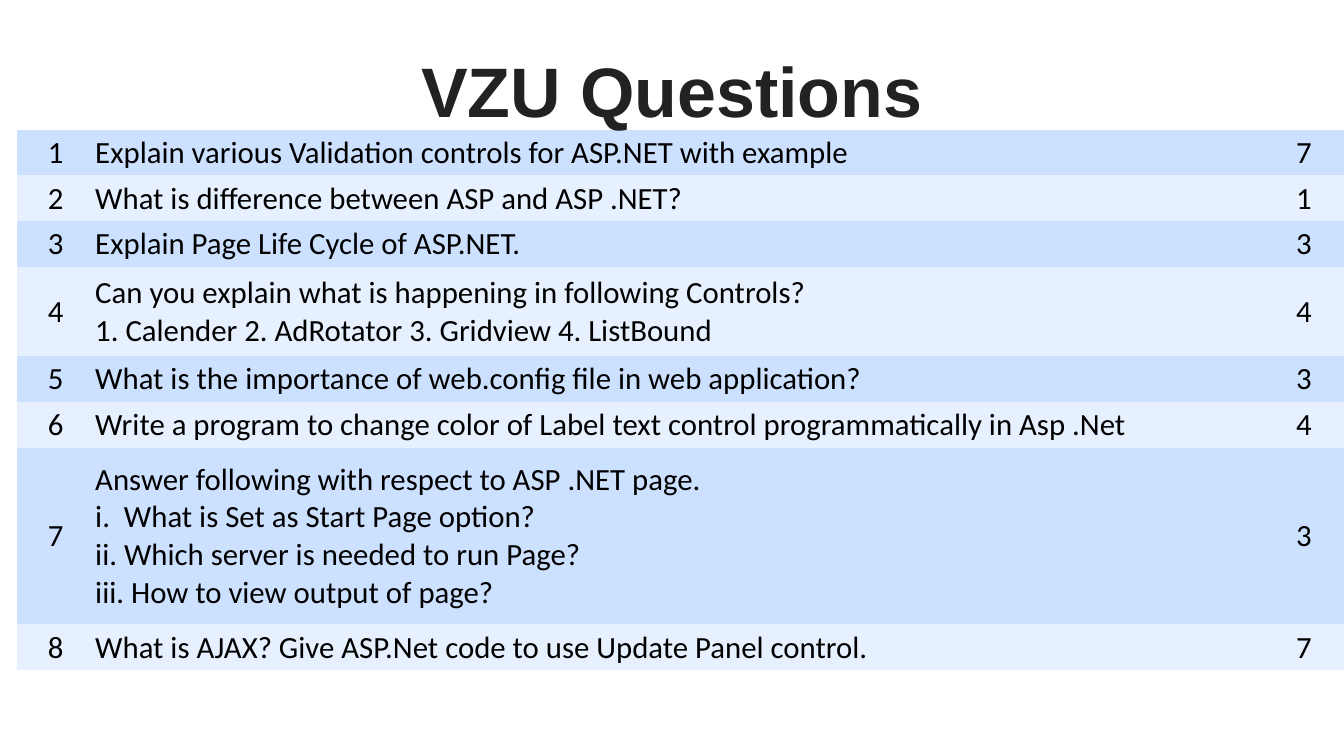
"""Build a slide listing exam questions with their marks."""
import pptx
import pptx.dml.color
import pptx.enum.text
import pptx.oxml.ns
import pptx.util
from pptx.util import Inches

TITLE = "VZU Questions"
QUESTIONS = [
    (["Explain various Validation controls for ASP.NET with example"], 7),
    (["What is difference between ASP and ASP .NET?"], 1),
    (["Explain Page Life Cycle of ASP.NET."], 3),
    (["Can you explain what is happening in following Controls?",
      "1. Calender 2. AdRotator 3. Gridview 4. ListBound"], 4),
    (["What is the importance of web.config file in web application?"], 3),
    (["Write a program to change color of Label text control programmatically in Asp .Net"], 4),
    (["Answer following with respect to ASP .NET page.",
      "i.  What is Set as Start Page option?",
      "ii. Which server is needed to run Page?",
      "iii. How to view output of page?"], 3),
    (["What is AJAX? Give ASP.Net code to use Update Panel control."], 7),
]
COLUMN_WIDTHS = [1.55, 23.2, 1.59]
ROW_HEIGHTS = {1: 0.91, 2: 1.76, 4: 3.51}
BAND_COLORS = ["CCE0FF", "E7F0FF"]
NO_GRID_STYLE = "{2D5ABB26-0587-4C30-8999-92F81FD0307C}"
ALIGN = pptx.enum.text.PP_ALIGN
MIDDLE = pptx.enum.text.MSO_ANCHOR.MIDDLE


def color(value):
    return pptx.dml.color.RGBColor.from_string(value)


def add_run(paragraph, text, size, font_name, font_color, bold=False):
    run = paragraph.add_run()
    run.text = text
    run.font.size = pptx.util.Pt(size)
    run.font.name = font_name
    run.font.bold = bold
    run.font.color.rgb = color(font_color)


def fill_cell(cell, lines, alignment, band_color):
    cell.fill.solid()
    cell.fill.fore_color.rgb = color(band_color)
    cell.vertical_anchor = MIDDLE
    cell.margin_left = cell.margin_right = cell.margin_top = Inches(0.01)
    cell.margin_bottom = 0
    frame = cell.text_frame
    for index, line in enumerate(lines):
        paragraph = frame.add_paragraph() if index else frame.paragraphs[0]
        paragraph.alignment = alignment
        add_run(paragraph, line, 44, "Calibri", "000000")


def add_questions(slide):
    heights = [ROW_HEIGHTS[len(lines)] for lines, _ in QUESTIONS]
    graphic_frame = slide.shapes.add_table(
        len(QUESTIONS), len(COLUMN_WIDTHS), Inches(0.33), Inches(2.57),
        Inches(sum(COLUMN_WIDTHS)), Inches(sum(heights)))
    table = graphic_frame.table
    table.first_row = table.horz_banding = False
    style = next(graphic_frame.element.iter(pptx.oxml.ns.qn("a:tableStyleId")))
    style.text = NO_GRID_STYLE
    for column, width in zip(table.columns, COLUMN_WIDTHS):
        column.width = Inches(width)
    for index, (lines, marks) in enumerate(QUESTIONS):
        table.rows[index].height = Inches(heights[index])
        band_color = BAND_COLORS[index % 2]
        fill_cell(table.cell(index, 0), [str(index + 1)], ALIGN.CENTER, band_color)
        fill_cell(table.cell(index, 1), lines, ALIGN.LEFT, band_color)
        fill_cell(table.cell(index, 2), [str(marks)], ALIGN.CENTER, band_color)


def add_title(slide):
    title = slide.shapes.add_textbox(Inches(8.19), Inches(0.75), Inches(10.28), Inches(1.82))
    frame = title.text_frame
    frame.word_wrap = False
    frame.auto_size = pptx.enum.text.MSO_AUTO_SIZE.SHAPE_TO_FIT_TEXT
    frame.vertical_anchor = MIDDLE
    frame.margin_left = frame.margin_right = Inches(0.08)
    frame.margin_top = frame.margin_bottom = Inches(0.08)
    paragraph = frame.paragraphs[0]
    paragraph.alignment = ALIGN.CENTER
    paragraph.line_spacing = pptx.util.Pt(136)
    add_run(paragraph, TITLE, 100, "Arial", "222222", bold=True)


def main():
    presentation = pptx.Presentation()
    presentation.slide_width = Inches(26.67)
    presentation.slide_height = Inches(15)
    slide = presentation.slides.add_slide(presentation.slide_layouts[6])
    add_questions(slide)
    add_title(slide)
    presentation.save("out.pptx")


if __name__ == "__main__":
    main()
